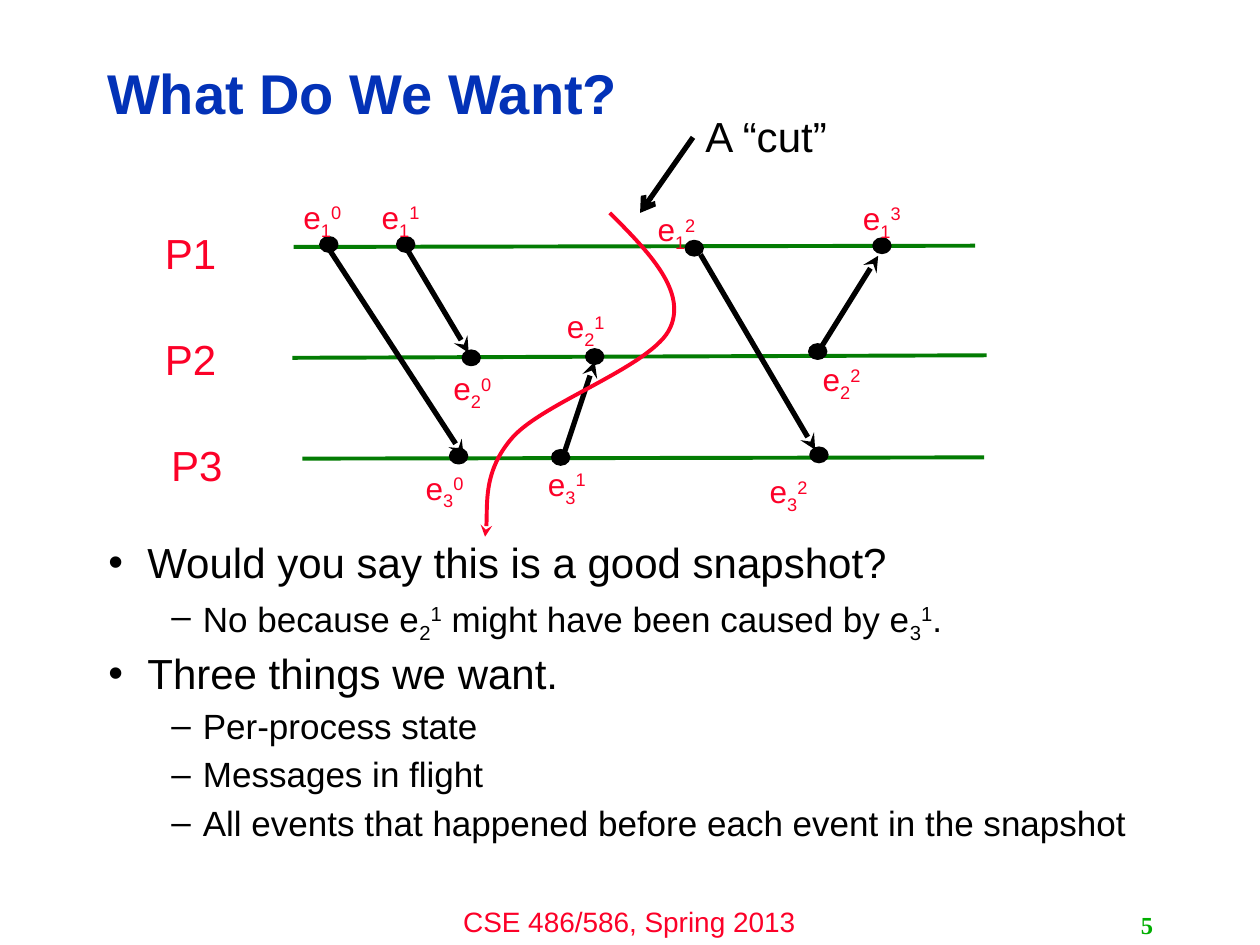
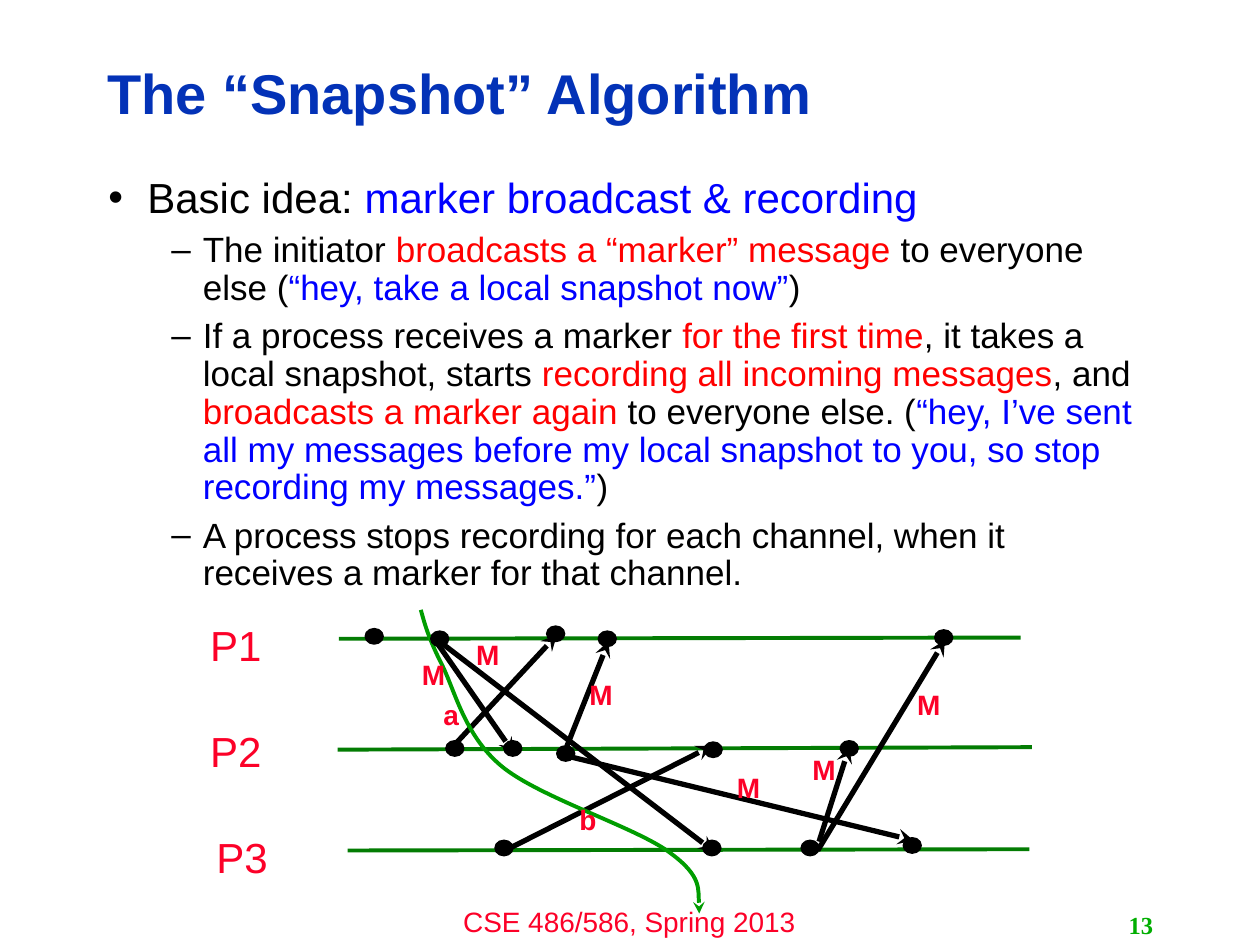
from lxml.etree import SubElement
from pptx import Presentation
from pptx.dml.color import RGBColor
from pptx.enum.shapes import MSO_CONNECTOR, MSO_SHAPE
from pptx.enum.text import MSO_ANCHOR, MSO_AUTO_SIZE, PP_ALIGN
from pptx.oxml.ns import qn
from pptx.util import Cm, Pt


def inch(value):
    return Cm(value * 2.54)


def colour(code):
    return RGBColor.from_string(code)


def write(para, text, size=24, ink="000000", bold=False, font="Arial", baseline=0):
    span = para.add_run()
    span.text = text
    span.font.size = Pt(size)
    span.font.name = font
    span.font.bold = bold
    span.font.color.rgb = colour(ink)
    if baseline:
        span._r.get_or_add_rPr().set("baseline", str(baseline * 1000))


def tinted(text, ink):
    return text, {"ink": ink}


def event(process, number):
    return ["e", (str(process), {"baseline": -25}), (str(number), {"baseline": 30})]


def write_spans(para, spans, **look):
    for span in spans:
        text, extra = (span, {}) if isinstance(span, str) else span
        write(para, text, **{**look, **extra})


class Lecture:
    BLACK, RED, TITLE, LANE = "000000", "FC0128", "0332B7", "037C03"
    NUMBER, GREEN_CUT = "00AE00", "009D00"
    STRONG_RED, STRONG_BLUE = "FF0000", "0000FF"
    LEVELS = [(24, 0.31, -0.31, "•"), (20, 0.75, -0.25, "–")]

    def __init__(self):
        self.deck = Presentation()
        self.deck.slide_width, self.deck.slide_height = inch(10), inch(7.5)
        self.page = None

    def new_page(self, title, number):
        self.page = self.deck.slides.add_slide(self.deck.slide_layouts[1])
        self.text([("CSE 486/586, Spring 2013")], 3.33, 7.13, 3.33, 0.37,
                  align=PP_ALIGN.CENTER, size=16, ink=self.RED)
        frame = self.place(self.page.shapes.title, 0.75, 0.36, 7.98, 0.81)
        frame.vertical_anchor = MSO_ANCHOR.MIDDLE
        para = frame.paragraphs[0]
        para.alignment = PP_ALIGN.LEFT
        para.line_spacing = 0.9
        write(para, title, size=32, ink=self.TITLE, bold=True)
        self.text([str(number)], 7.17, 7.18, 2.08, 0.32, align=PP_ALIGN.RIGHT,
                  wrap=False, anchor=MSO_ANCHOR.MIDDLE, size=14,
                  ink=self.NUMBER, bold=True, font="Times New Roman")

    def place(self, box, left, top, width, height):
        box.left, box.top = inch(left), inch(top)
        box.width, box.height = inch(width), inch(height)
        frame = box.text_frame
        frame.auto_size = MSO_AUTO_SIZE.NONE
        frame.word_wrap = True
        return frame

    def bullets(self, top, height, items, first_spacing=0.9):
        frame = self.place(self.page.placeholders[1], 0.76, top, 8.4, height)
        frame.vertical_anchor = MSO_ANCHOR.TOP
        for index, (level, spans) in enumerate(items):
            para = frame.add_paragraph() if index else frame.paragraphs[0]
            size, margin, indent, mark = self.LEVELS[level]
            para.level = level
            para.line_spacing = 0.9 if index else first_spacing
            para.space_before = Pt(size * 0.3)
            properties = para._p.get_or_add_pPr()
            properties.set("marL", str(inch(margin)))
            properties.set("indent", str(inch(indent)))
            SubElement(properties, qn("a:buChar")).set("char", mark)
            write_spans(para, spans, size=size)

    def text(self, spans, left, top, width, height, align=PP_ALIGN.LEFT,
             wrap=True, anchor=MSO_ANCHOR.TOP, **look):
        box = self.page.shapes.add_textbox(inch(left), inch(top), inch(width), inch(height))
        frame = box.text_frame
        frame.word_wrap = wrap
        frame.vertical_anchor = anchor
        para = frame.paragraphs[0]
        para.alignment = align
        write_spans(para, spans, **look)

    def style_line(self, shape, ink, width, head):
        shape.line.color.rgb = colour(ink)
        shape.line.width = Pt(width)
        if head:
            SubElement(shape.line._get_or_add_ln(), qn("a:tailEnd")).set("type", head)

    def line(self, x1, y1, x2, y2, ink=BLACK, width=3, head=None):
        connector = self.page.shapes.add_connector(
            MSO_CONNECTOR.STRAIGHT, inch(x1), inch(y1), inch(x2), inch(y2))
        self.style_line(connector, ink, width, head)
        SubElement(connector._element.spPr, qn("a:effectLst"))

    def messages(self, ends):
        for points in ends:
            self.line(*points, head="stealth")

    def dots(self, corners):
        for left, top in corners:
            dot = self.page.shapes.add_shape(
                MSO_SHAPE.OVAL, inch(left), inch(top), inch(0.14), inch(0.12))
            dot.shadow.inherit = False
            dot.fill.solid()
            dot.fill.fore_color.rgb = colour(self.BLACK)
            self.style_line(dot, self.BLACK, 1, None)

    def lanes(self, right, down):
        ends = [(2.33, 1.96, 7.74, 1.95), (2.32, 2.84, 7.83, 2.82), (2.4, 3.64, 7.81, 3.63)]
        for index, (x1, y1, x2, y2) in enumerate(ends):
            self.line(x1 + right, y1 + down, x2 + right, y2 + down, self.LANE, 2.25)
            left = 1.26 if index == 2 else 1.21
            self.text([f"P{index + 1}"], left + right, 1.76 + 0.84 * index + down,
                      1.26, 0.46, ink=self.RED)

    def cut(self, points, ink):
        start, *rest = [(inch(x), inch(y)) for x, y in points]
        builder = self.page.shapes.build_freeform(*start)
        builder.add_line_segments(rest, close=False)
        curve = builder.convert_to_shape()
        outline = next(curve._element.iter(qn("a:path")))
        segments = outline.findall(qn("a:lnTo"))
        for index, segment in enumerate(segments):
            if index % 3 == 0:
                bezier = SubElement(outline, qn("a:cubicBezTo"))
            bezier.append(segment[0])
            outline.remove(segment)
        curve.shadow.inherit = False
        curve.fill.background()
        self.style_line(curve, ink, 2.25, "stealth")


def build_cut_page(lecture):
    lecture.new_page("What Do We Want?", 5)
    lecture.bullets(4.25, 2.44, [
        (0, ["Would you say this is a good snapshot?"]),
        (1, ["No because ", *event(2, 1), " might have been caused by ", *event(3, 1), "."]),
        (0, ["Three things we want."]),
        (1, ["Per-process state"]),
        (1, ["Messages in flight"]),
        (1, ["All events that happened before each event in the snapshot"]),
    ])
    lecture.lanes(0, 0)
    lecture.dots([
        (2.54, 1.88), (3.15, 1.88), (5.44, 1.91), (6.93, 1.89),
        (3.67, 2.78), (4.65, 2.77), (6.42, 2.73),
        (3.57, 3.56), (4.38, 3.57), (6.43, 3.55),
    ])
    lecture.messages([
        (2.62, 1.99, 3.68, 3.62), (3.22, 1.96, 3.72, 2.8), (4.47, 3.62, 4.72, 2.87),
        (6.49, 2.8, 6.97, 2.03), (5.56, 2.02, 6.47, 3.57),
    ])
    event_places = {
        1: [(2.31, 1.52), (2.93, 1.52), (5.12, 1.62), (6.75, 1.53)],
        2: [(3.5, 2.88), (4.4, 2.39), (6.43, 2.81)],
        3: [(3.28, 3.67), (4.25, 3.64), (6.01, 3.7)],
    }
    for process, places in event_places.items():
        for number, (left, top) in enumerate(places):
            lecture.text(event(process, number), left, top, 0.61, 0.37,
                         size=18, ink=lecture.RED)
    lecture.cut([
        (4.84, 1.69), (5.15, 2), (5.45, 2.31), (5.32, 2.6), (5.19, 2.9),
        (4.32, 3.19), (4.07, 3.47), (3.83, 3.74), (3.88, 4.13), (3.85, 4.26),
    ], lecture.RED)
    lecture.text(["A “cut”"], 5.5, 0.83, 1.19, 0.5, wrap=False)
    lecture.line(5.5, 1.09, 5.08, 1.69, head="arrow")


def build_algorithm_page(lecture):
    red, blue = lecture.STRONG_RED, lecture.STRONG_BLUE
    lecture.new_page("The “Snapshot” Algorithm", 13)
    lecture.bullets(1.31, 5.39, [
        (0, ["Basic idea: ", tinted("marker broadcast & recording", blue)]),
        (1, ["The initiator ", tinted("broadcasts a “marker” message", red),
             " to everyone else (", tinted("“hey, take a local snapshot now”", blue), ")"]),
        (1, ["If a process receives a marker ", tinted("for the first time", red),
             ", it takes a local snapshot, starts ",
             tinted("recording all incoming messages", red), ", and ",
             tinted("broadcasts a marker again", red), " to everyone else. (",
             tinted("“hey, I’ve sent all my messages before my local snapshot to you, "
                    "so stop recording my messages.”", blue), ")"]),
        (1, ["A process stops recording for each channel, "
             "when it receives a marker for that channel."]),
    ], first_spacing=1.0)
    lecture.lanes(0.36, 3.11)
    lecture.messages([(3.6, 5.92, 4.42, 5.04), (3.99, 6.76, 5.65, 5.92)])
    lecture.cut([
        (3.34, 4.84), (3.37, 4.95), (3.4, 5.06), (3.5, 5.26), (3.61, 5.47),
        (3.68, 5.83), (3.98, 6.08), (4.28, 6.33), (5.06, 6.57), (5.32, 6.77),
        (5.58, 6.96), (5.55, 7.25), (5.55, 7.25),
    ], lecture.GREEN_CUT)
    lecture.messages([
        (3.46, 5.09, 4.08, 5.98), (4.5, 5.92, 4.83, 5.09), (3.5, 5.1, 5.67, 6.76),
        (4.5, 6, 7.25, 6.67), (6.5, 6.68, 6.74, 5.93), (6.49, 6.75, 7.5, 5.08),
    ])
    lecture.dots([
        (2.9, 4.99), (3.42, 5.01), (4.34, 4.97), (4.75, 5.01), (7.42, 5),
        (3.54, 5.88), (4, 5.88), (4.42, 5.92), (5.59, 5.89), (6.67, 5.88),
        (3.93, 6.67), (5.58, 6.67), (6.36, 6.67), (7.17, 6.65),
    ])
    message_places = {
        "a": [(3.42, 5.49)],
        "b": [(4.5, 6.32)],
        "M": [(3.25, 5.17), (4.58, 5.33), (3.68, 5.01),
              (5.75, 6.07), (7.18, 5.41), (6.35, 5.92)],
    }
    for name, places in message_places.items():
        for left, top in places:
            lecture.text([name], left, top, 0.4, 0.34, size=16, ink=lecture.RED, bold=True)


def main():
    lecture = Lecture()
    build_cut_page(lecture)
    build_algorithm_page(lecture)
    lecture.deck.save("out.pptx")


if __name__ == "__main__":
    main()
